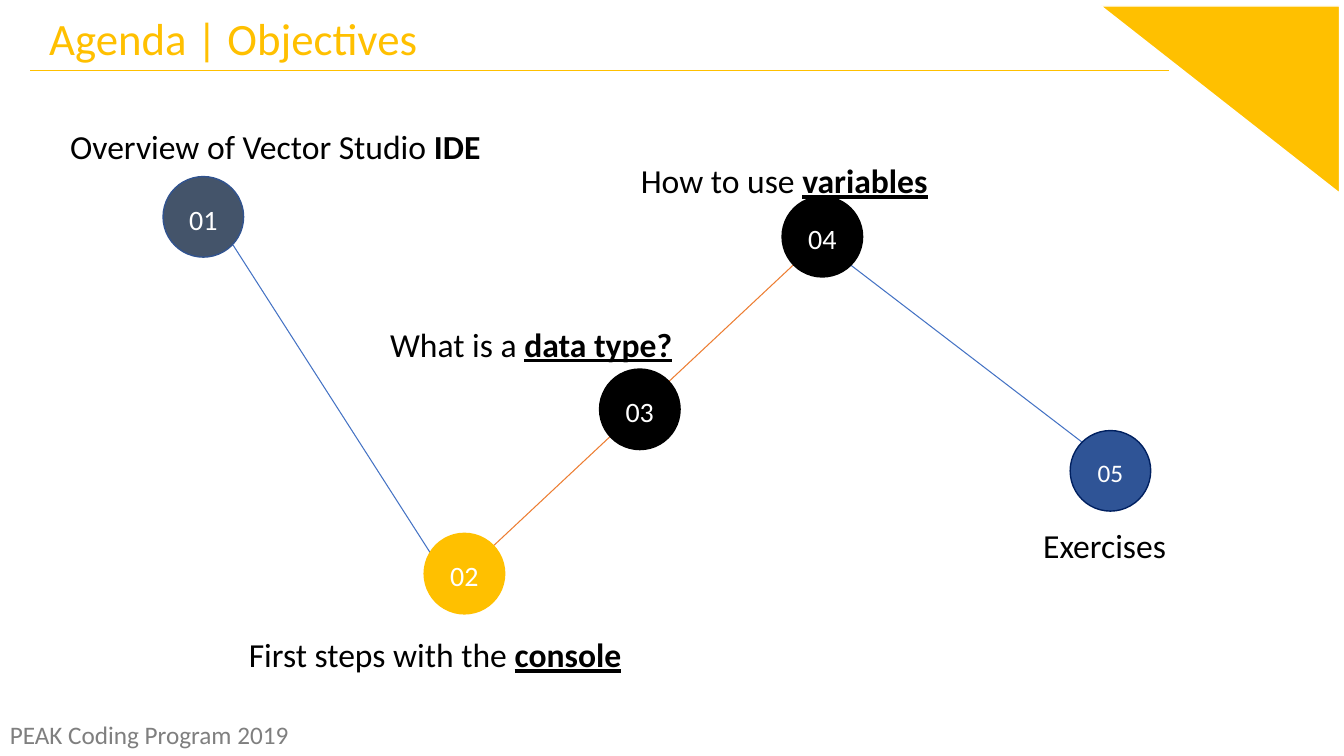
from typing import NamedTuple

from pptx import Presentation
from pptx.dml.color import RGBColor
from pptx.enum.shapes import MSO_CONNECTOR as Connector, MSO_SHAPE as Preset
from pptx.enum.text import MSO_ANCHOR as Anchor, PP_ALIGN as Align
from pptx.oxml.ns import qn
from pptx.shapes.autoshape import Shape
from pptx.shapes.shapetree import SlideShapes
from pptx.text.text import TextFrame
from pptx.util import Cm, Pt
from lxml import etree

FONT = "Calibri"
BLACK = RGBColor(0x00, 0x00, 0x00)
WHITE = RGBColor(0xFF, 0xFF, 0xFF)
GRAY = RGBColor(0x7F, 0x7F, 0x7F)
GOLD = RGBColor(0xFF, 0xC0, 0x00)
ORANGE = RGBColor(0xED, 0x7D, 0x31)
SLATE = RGBColor(0x44, 0x54, 0x6A)
SLATE_EDGE = RGBColor(0x31, 0x53, 0x8F)
BLUE = RGBColor(0x44, 0x72, 0xC4)
DEEP_BLUE = RGBColor(0x2F, 0x54, 0x96)
NAVY = RGBColor(0x00, 0x20, 0x60)

CIRCLE_SIZE = 2.03
LABEL_HEIGHT = 1.27


class Line(NamedTuple):
    """A straight line between two points, in centimetres."""
    start: tuple[float, float]
    end: tuple[float, float]
    color: RGBColor


class Stop(NamedTuple):
    """A numbered circle of the agenda and its label, in centimetres."""
    circle: tuple[float, float]
    fill: RGBColor
    edge: RGBColor
    label: tuple[float, float]
    label_width: float
    text: str
    keyword: str = ""
    underline: bool = True
    number_size: int = 20


LINES = [
    Line((0.76, 1.78), (29.46, 1.78), GOLD),
    Line((5.87, 6.17), (10.85, 13.94), BLUE),
    Line((12.45, 13.74), (19.99, 6.68), ORANGE),
    Line((21.44, 6.68), (27.28, 11.15), BLUE),
]

STOPS = [
    Stop((4.11, 4.45), SLATE, SLATE_EDGE, (1.52, 3.05), 12.62,
         "Overview of Vector Studio ", "IDE", underline=False),
    Stop((10.69, 13.44), GOLD, GOLD, (6.02, 15.85), 9.93,
         "First steps with the ", "console"),
    Stop((15.11, 9.3), BLACK, BLACK, (9.58, 8.03), 8.2,
         "What is a ", "data type?"),
    Stop((19.71, 4.95), BLACK, BLACK, (15.9, 3.91), 8.48,
         "How to use ", "variables"),
    Stop((26.97, 10.85), DEEP_BLUE, NAVY, (26.04, 13.11), 3.91,
         "Exercises", number_size=18),
]


def add_run(frame: TextFrame, text: str, *, size: int, color: RGBColor,
            bold: bool = False, underline: bool = False) -> None:
    run = frame.paragraphs[0].add_run()
    run.text = text
    run.font.name = FONT
    run.font.size = Pt(size)
    run.font.color.rgb = color
    if bold:
        run.font.bold = True
    if underline:
        run.font.underline = True


def add_text_box(shapes: SlideShapes, left: float, top: float,
                 width: float, height: float) -> TextFrame:
    frame = shapes.add_textbox(Cm(left), Cm(top), Cm(width), Cm(height)).text_frame
    frame.word_wrap = True
    return frame


def add_filled_shape(shapes: SlideShapes, preset: Preset, left: float, top: float,
                     width: float, height: float, fill: RGBColor,
                     edge: RGBColor) -> Shape:
    shape = shapes.add_shape(preset, Cm(left), Cm(top), Cm(width), Cm(height))
    shape.shadow.inherit = False
    shape.fill.solid()
    shape.fill.fore_color.rgb = fill
    shape.line.color.rgb = edge
    shape.line.width = Pt(1)
    return shape


def add_line(shapes: SlideShapes, line: Line) -> None:
    ends = [Cm(value) for value in (*line.start, *line.end)]
    connector = shapes.add_connector(Connector.STRAIGHT, *ends)
    connector.line.color.rgb = line.color
    connector.line.width = Pt(0.75)
    etree.SubElement(connector._element.spPr, qn("a:effectLst"))


def add_stop(shapes: SlideShapes, number: int, stop: Stop) -> None:
    circle = add_filled_shape(shapes, Preset.OVAL, *stop.circle, CIRCLE_SIZE,
                              CIRCLE_SIZE, stop.fill, stop.edge)
    frame = circle.text_frame
    frame.margin_left = frame.margin_right = frame.margin_bottom = 0
    frame.margin_top = Cm(0.1)
    frame.vertical_anchor = Anchor.MIDDLE
    frame.paragraphs[0].alignment = Align.CENTER
    add_run(frame, f"{number:02}", size=stop.number_size, color=WHITE)

    label = add_text_box(shapes, *stop.label, stop.label_width, LABEL_HEIGHT)
    add_run(label, stop.text, size=24, color=BLACK)
    if stop.keyword:
        add_run(label, stop.keyword, size=24, color=BLACK, bold=True,
                underline=stop.underline)


def main() -> None:
    presentation = Presentation()
    presentation.slide_width = Cm(33.87)
    presentation.slide_height = Cm(19.05)
    shapes = presentation.slides.add_slide(presentation.slide_layouts[6]).shapes

    corner = add_filled_shape(shapes, Preset.RIGHT_TRIANGLE, 27.74, 0.15, 6.02, 4.72,
                              GOLD, WHITE)
    corner.rotation = 180
    title = add_text_box(shapes, 0.99, 0.15, 18.72, 1.63)
    add_run(title, "Agenda | Objectives", size=32, color=GOLD)

    for line in LINES:
        add_line(shapes, line)
    for number, stop in enumerate(STOPS, start=1):
        add_stop(shapes, number, stop)

    footer = add_text_box(shapes, 0, 18.01, 7.65, 1.02)
    add_run(footer, "PEAK Coding Program 2019", size=18, color=GRAY)
    presentation.save("out.pptx")


if __name__ == "__main__":
    main()
